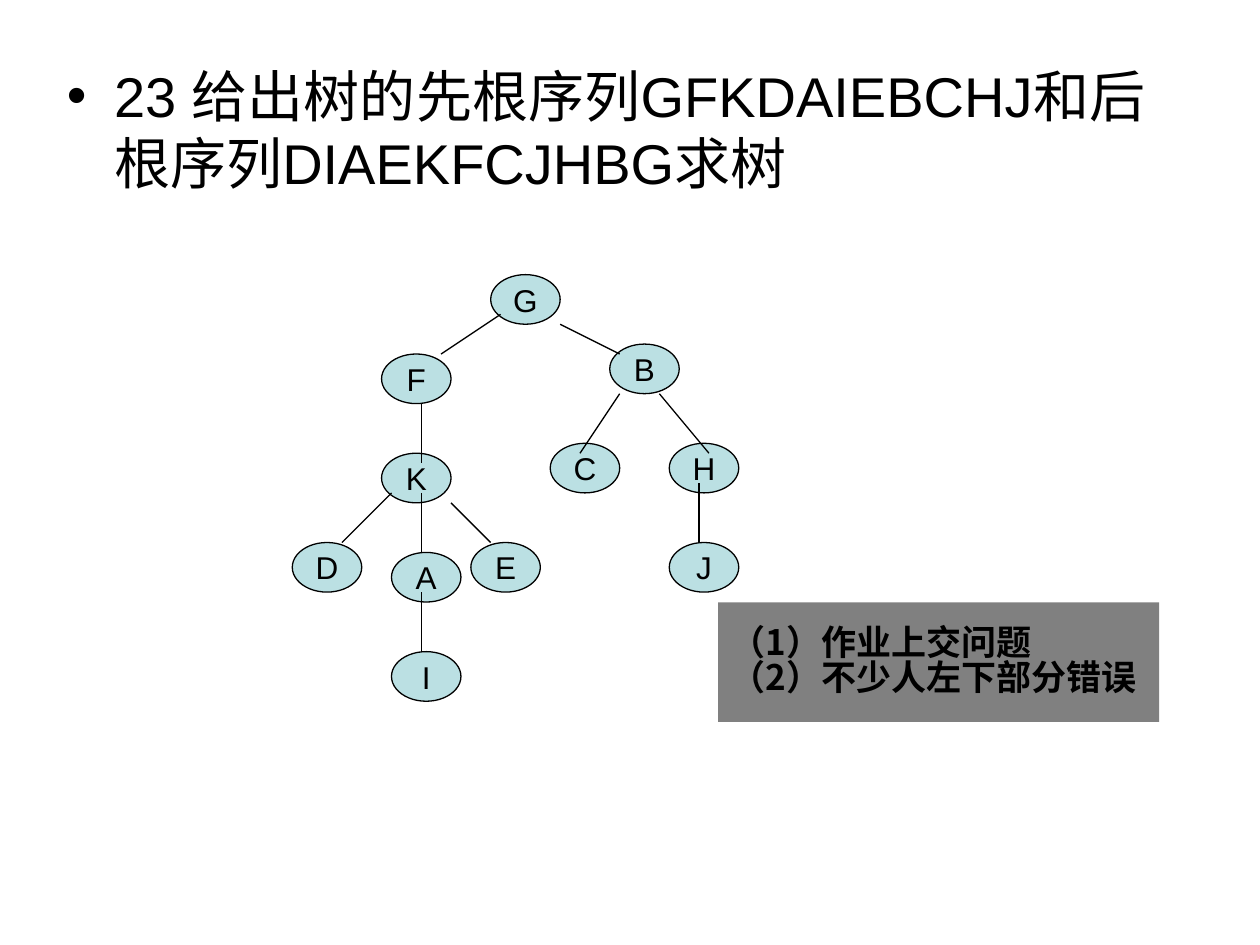
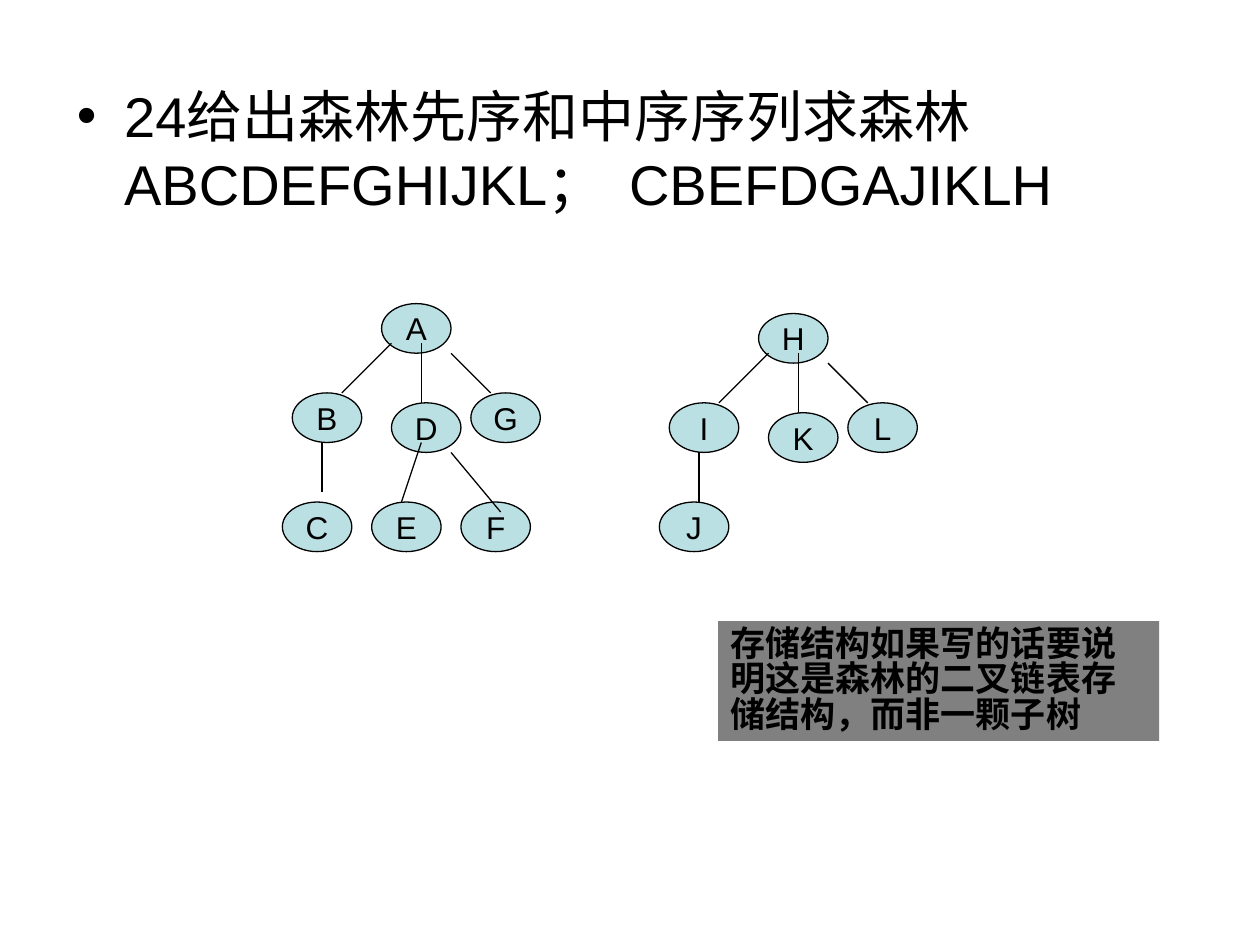
from lxml import etree
from pptx import Presentation
from pptx.dml.color import RGBColor
from pptx.enum.shapes import MSO_CONNECTOR, MSO_SHAPE
from pptx.enum.text import MSO_ANCHOR, PP_ALIGN
from pptx.oxml.ns import qn
from pptx.util import Inches, Mm, Pt

ELLIPSE = MSO_SHAPE.OVAL
RECTANGLE = MSO_SHAPE.RECTANGLE
STRAIGHT = MSO_CONNECTOR.STRAIGHT
MIDDLE = MSO_ANCHOR.MIDDLE
CENTER = PP_ALIGN.CENTER
LEFT = PP_ALIGN.LEFT

BLACK, NODE_FILL, NOTE_FILL = "000000", "BBE0E3", "808080"
LATIN_FONT, CHINESE_FONT = "Arial", "Noto Sans CJK SC"
CELL = Mm(2)
NODE_COLUMNS, NODE_ROWS = 7, 5
LINE_WIDTH = Pt(0.75)

QUESTION_FONT = {"name": LATIN_FONT, "size": Pt(32)}
NODE_FONT = {"name": LATIN_FONT, "size": Pt(18)}
NOTE_FONT = {"name": CHINESE_FONT, "size": Pt(20), "bold": True}
QUESTION_PARAGRAPH = {"space_before": Pt(8)}
NODE_PARAGRAPH = {"alignment": CENTER}
NOTE_PARAGRAPH = {"alignment": LEFT, "line_spacing": 0.85}

FAN_CHILDREN = [(-9, 9), (1, 10), (9, 9)]
FAN_LINES = [(1, 4, -4, 9), (4, 4, 4, 10), (7, 5, 11, 9)]

TREE = {
    "origin": (2.32, 2.18),
    "nodes": {"G": (20, 0), "F": (9, 8), "B": (32, 7), "C": (26, 17),
              "H": (38, 17), "J": (38, 27), "I": (10, 38)},
    "fans": {"KDAE": (9, 18)},
    "lines": [(21, 4, 15, 8), (27, 5, 33, 8), (13, 13, 13, 19),
              (37, 12, 42, 18), (33, 12, 29, 18), (13, 32, 13, 38),
              (41, 21, 41, 27)],
}
FOREST = {
    "origin": (2.32, 2.41),
    "nodes": {"C": (-1, 20), "E": (8, 20), "F": (17, 20), "J": (37, 20)},
    "fans": {"ABDG": (9, 0), "HIKL": (47, 1)},
    "lines": [(3, 14, 3, 19), (13, 14, 11, 20), (16, 15, 21, 21),
              (41, 15, 41, 20)],
}


def color(value):
    return RGBColor.from_string(value)


def apply_format(target, values):
    for name, value in values.items():
        setattr(target, name, value)


def write_text(text_frame, lines, font_format, paragraph_format):
    text_frame.text = "\n".join(lines)
    for paragraph in text_frame.paragraphs:
        apply_format(paragraph, paragraph_format)
        for run in paragraph.runs:
            apply_format(run.font, font_format)
            run.font.color.rgb = color(BLACK)
            east_asian = etree.SubElement(run.font._element, qn("a:ea"))
            east_asian.set("typeface", CHINESE_FONT)


def add_filled_shape(slide, kind, box, fill):
    shape = slide.shapes.add_shape(kind, *box)
    shape.shadow.inherit = False
    shape.fill.solid()
    shape.fill.fore_color.rgb = color(fill)
    shape.text_frame.vertical_anchor = MIDDLE
    return shape


def add_node(slide, origin, label, column, row):
    left, top = origin
    box = (left + column * CELL, top + row * CELL,
           NODE_COLUMNS * CELL, NODE_ROWS * CELL)
    shape = add_filled_shape(slide, ELLIPSE, box, NODE_FILL)
    shape.line.color.rgb = color(BLACK)
    shape.line.width = LINE_WIDTH
    shape.text_frame.word_wrap = False
    write_text(shape.text_frame, [label], NODE_FONT, NODE_PARAGRAPH)


def add_line(slide, origin, start_column, start_row, end_column, end_row):
    left, top = origin
    connector = slide.shapes.add_connector(
        STRAIGHT, left + start_column * CELL, top + start_row * CELL,
        left + end_column * CELL, top + end_row * CELL)
    connector.line.color.rgb = color(BLACK)
    connector.line.width = LINE_WIDTH
    etree.SubElement(connector._element.spPr, qn("a:effectLst"))


def add_diagram(slide, diagram):
    origin = [Inches(length) for length in diagram["origin"]]
    nodes = dict(diagram["nodes"])
    lines = list(diagram["lines"])
    for labels, (column, row) in diagram["fans"].items():
        for label, (across, down) in zip(labels, [(0, 0)] + FAN_CHILDREN):
            nodes[label] = (column + across, row + down)
        for x1, y1, x2, y2 in FAN_LINES:
            lines.append((column + x1, row + y1, column + x2, row + y2))
    for label, position in nodes.items():
        add_node(slide, origin, label, *position)
    for line in lines:
        add_line(slide, origin, *line)


def add_note(slide, top, lines):
    box = [Inches(length) for length in (5.7, top, 3.5, 0.95)]
    shape = add_filled_shape(slide, RECTANGLE, box, NOTE_FILL)
    shape.line.fill.background()
    shape.text_frame.word_wrap = True
    write_text(shape.text_frame, lines, NOTE_FONT, NOTE_PARAGRAPH)


def add_question_slide(presentation, question, left, top):
    slide = presentation.slides.add_slide(presentation.slide_layouts[1])
    title = slide.shapes.title._element
    title.getparent().remove(title)
    body = slide.placeholders[1]
    apply_format(body, {"left": Inches(left), "top": Inches(top),
                        "width": Inches(9), "height": Inches(4.95)})
    write_text(body.text_frame, [question], QUESTION_FONT, QUESTION_PARAGRAPH)
    return slide


def main():
    presentation = Presentation()
    presentation.slide_width = Inches(10)
    presentation.slide_height = Inches(7.5)

    slide = add_question_slide(
        presentation, "23 给出树的先根序列GFKDAIEBCHJ和后根序列DIAEKFCJHBG求树",
        0.43, 0.44)
    add_diagram(slide, TREE)
    add_note(slide, 4.78, ["（1）作业上交问题", "（2）不少人左下部分错误"])

    slide = add_question_slide(
        presentation, "24给出森林先序和中序序列求森林ABCDEFGHIJKL；  CBEFDGAJIKLH",
        0.51, 0.6)
    add_diagram(slide, FOREST)
    add_note(slide, 4.93,
             ["存储结构如果写的话要说明这是森林的二叉链表存储结构，而非一颗子树"])

    presentation.save("out.pptx")


if __name__ == "__main__":
    main()
